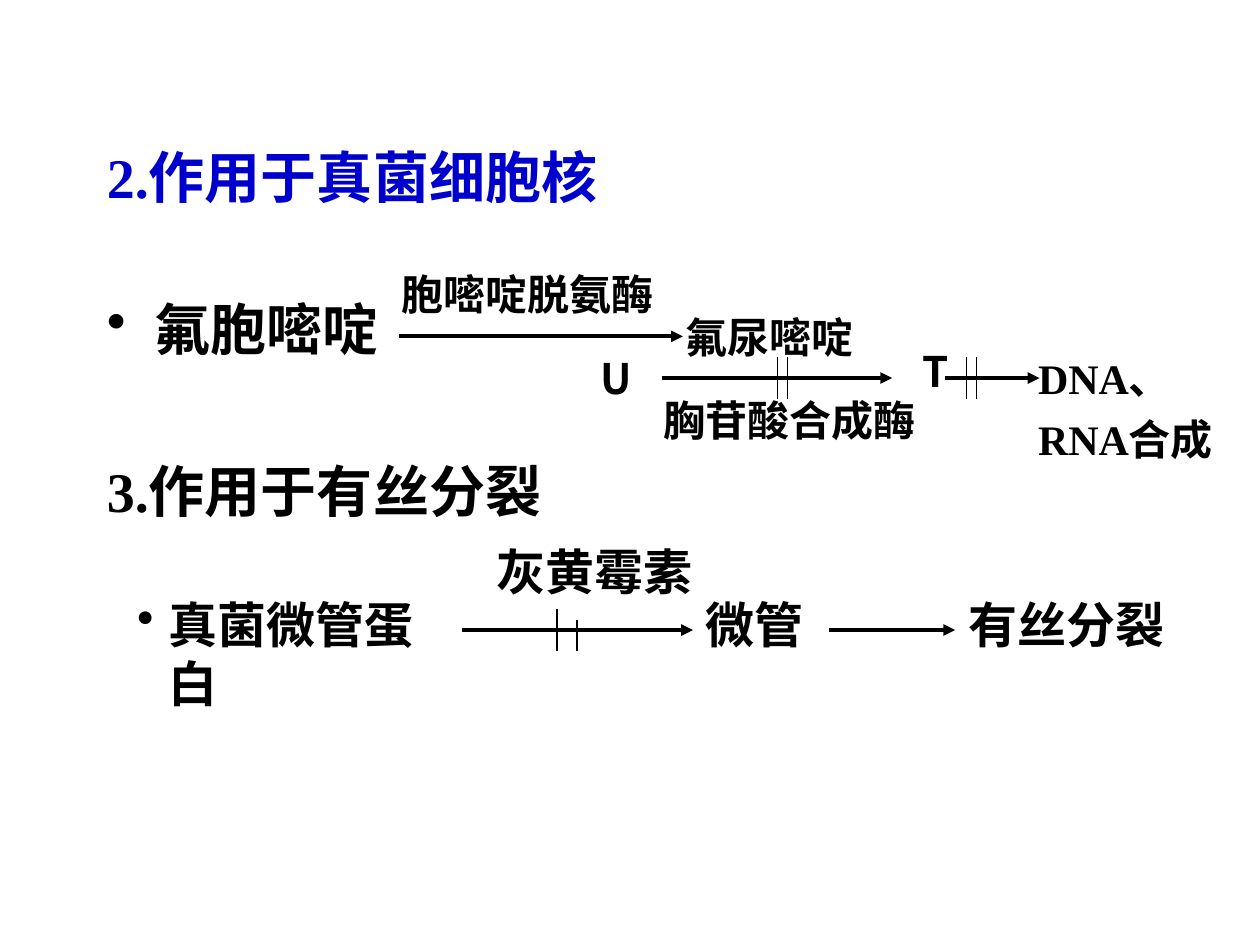
from lxml import etree
from pptx import Presentation
from pptx.dml.color import RGBColor
from pptx.enum.shapes import MSO_CONNECTOR
from pptx.oxml.ns import qn
from pptx.util import Inches, Pt

STRAIGHT = MSO_CONNECTOR.STRAIGHT
COLORS = {"heading": "0000CC", "ink": "000000"}
SERIF = "Times New Roman"
SANS = "Noto Sans CJK SC"
LINE_HEIGHT = 1.2


def style_paragraph(paragraph, size, face, color="ink", before=0):
    """Set the font, the line height and the space before a paragraph."""
    font = paragraph.font
    font.size, font.bold, font.name = Pt(size), True, face
    font.color.rgb = RGBColor.from_string(COLORS[color])
    defaults = paragraph._p.pPr.find(qn("a:defRPr"))
    etree.SubElement(defaults, qn("a:ea"), typeface=SANS)
    paragraph.line_spacing = Pt(size * LINE_HEIGHT)
    paragraph.space_before = Pt(before)


def add_bullet(paragraph, indent):
    """Give a paragraph a hanging round bullet."""
    properties = paragraph._p.get_or_add_pPr()
    properties.set("marL", str(Inches(indent)))
    properties.set("indent", str(-Inches(indent)))
    bullet = etree.Element(qn("a:buChar"), char="•")
    properties.find(qn("a:defRPr")).addprevious(bullet)


def add_label(slide, lines, left, top, width, height, size, face=SERIF, wrap=False):
    """Add a text box with one paragraph a line and return its paragraphs."""
    frame = slide.shapes.add_textbox(
        Inches(left), Inches(top), Inches(width), Inches(height)).text_frame
    frame.word_wrap = wrap
    frame.text = "\n".join(lines)
    for paragraph in frame.paragraphs:
        style_paragraph(paragraph, size, face, before=size / 4)
    return frame.paragraphs


def add_line(slide, start, end, weight):
    """Add a straight black line without a shadow."""
    line = slide.shapes.add_connector(
        STRAIGHT, *(Inches(value) for value in (*start, *end)))
    line.line.color.rgb = RGBColor.from_string(COLORS["ink"])
    line.line.width = Pt(weight)
    etree.SubElement(line._element.spPr, qn("a:effectLst"))
    return line


def add_arrow(slide, start, end, y):
    """Add a horizontal reaction arrow."""
    arrow = add_line(slide, (start, y), (end, y), 2.25)
    etree.SubElement(arrow.line._get_or_add_ln(), qn("a:tailEnd"), type="triangle")


def add_block_mark(slide, x, top, bottom):
    """Add one thin stroke of an inhibition mark."""
    add_line(slide, (x, top), (x, bottom), 0.75)


def add_headings(slide):
    """Add the two section headings and the drug between them."""
    frame = slide.shapes.add_textbox(
        Inches(0.75), Inches(1.08), Inches(8.75), Inches(5.83)).text_frame
    frame.word_wrap = True
    frame.text = "2.作用于真菌细胞核\n氟胞嘧啶\n3.作用于有丝分裂"
    nucleus, drug, mitosis = frame.paragraphs
    style_paragraph(nucleus, 32, SERIF, "heading")
    style_paragraph(drug, 32, SERIF, before=48.6)
    style_paragraph(mitosis, 32, SERIF, before=54.4)
    add_bullet(drug, 0.38)


def add_nucleus_pathway(slide):
    """Add the path from flucytosine to blocked DNA and RNA synthesis."""
    for name, left, top, width in (
        ("胞嘧啶脱氨酶", 3.09, 2.08, 2.2),
        ("氟尿嘧啶", 5.34, 2.42, 1.53),
        ("U", 4.67, 2.75, 0.42),
        ("T", 7.22, 2.69, 0.4),
        ("胸苷酸合成酶", 5.17, 3.08, 2.2),
    ):
        add_label(slide, [name], left, top, width, 0.5, 24, SANS)
    add_label(slide, ["DNA、", "RNA合成"], 8.14, 2.75, 1.67, 0.99, 24)
    for start, end, y in ((3.17, 5.42, 2.67), (5.25, 7.08, 3), (7.5, 8.25, 3)):
        add_arrow(slide, start, end, y)
    for x in (6.17, 6.25, 7.67, 7.75):
        add_block_mark(slide, x, 2.83, 3.17)


def add_mitosis_pathway(slide):
    """Add the path from tubulin to mitosis with its inhibitor."""
    tubulin = add_label(slide, ["真菌微管蛋白"], 0.99, 4.67, 2.66, 0.57, 28, wrap=True)
    add_bullet(tubulin[0], 0.25)
    for name, left, top, width in (
        ("微管", 5.5, 4.67, 0.98),
        ("灰黄霉素", 3.84, 4.25, 1.75),
        ("有丝分裂", 7.59, 4.67, 1.75),
    ):
        add_label(slide, [name], left, top, width, 0.57, 28)
    add_arrow(slide, 3.67, 5.5, 5)
    add_arrow(slide, 6.58, 7.58, 5)
    add_block_mark(slide, 4.42, 4.83, 5.17)
    add_block_mark(slide, 4.58, 4.92, 5.17)


def main():
    """Build the slide on antifungal drug targets."""
    presentation = Presentation()
    presentation.slide_width, presentation.slide_height = Inches(10), Inches(7.5)
    slide = presentation.slides.add_slide(presentation.slide_layouts[6])
    add_headings(slide)
    add_nucleus_pathway(slide)
    add_mitosis_pathway(slide)
    presentation.save("out.pptx")


if __name__ == "__main__":
    main()
